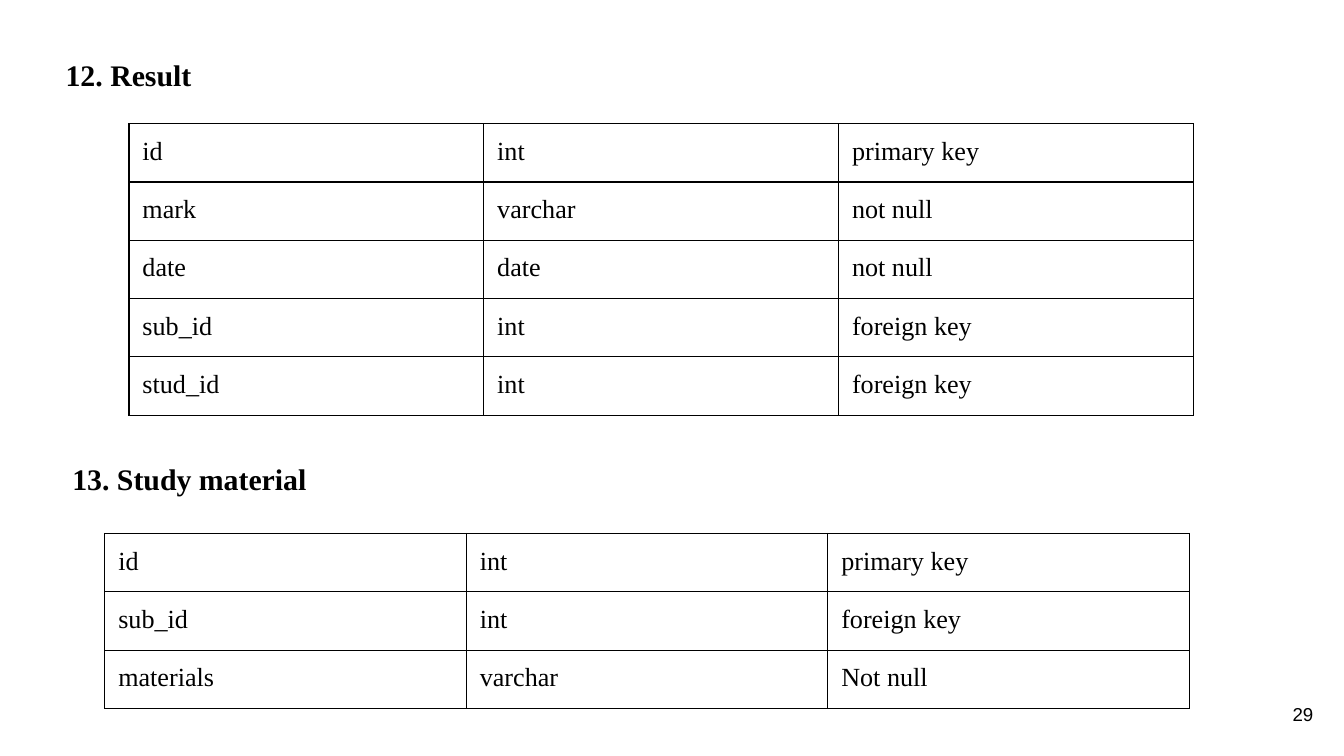
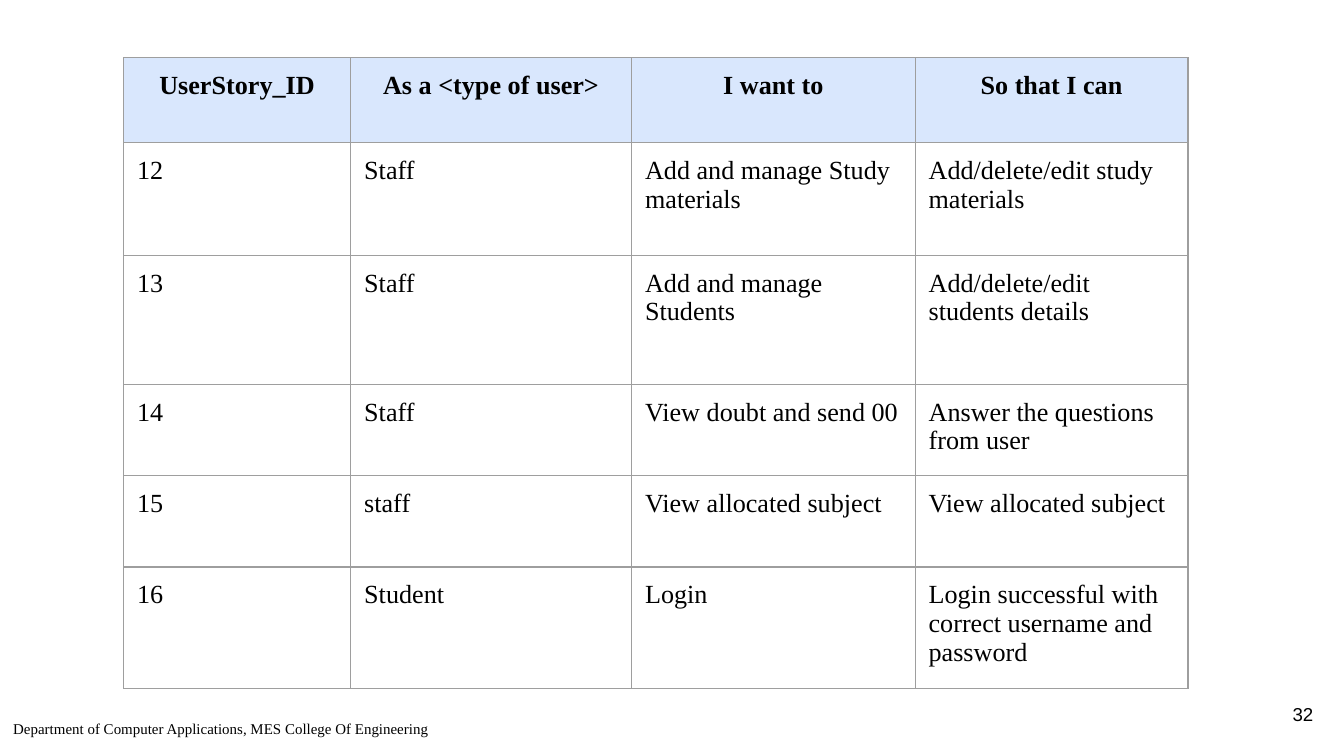
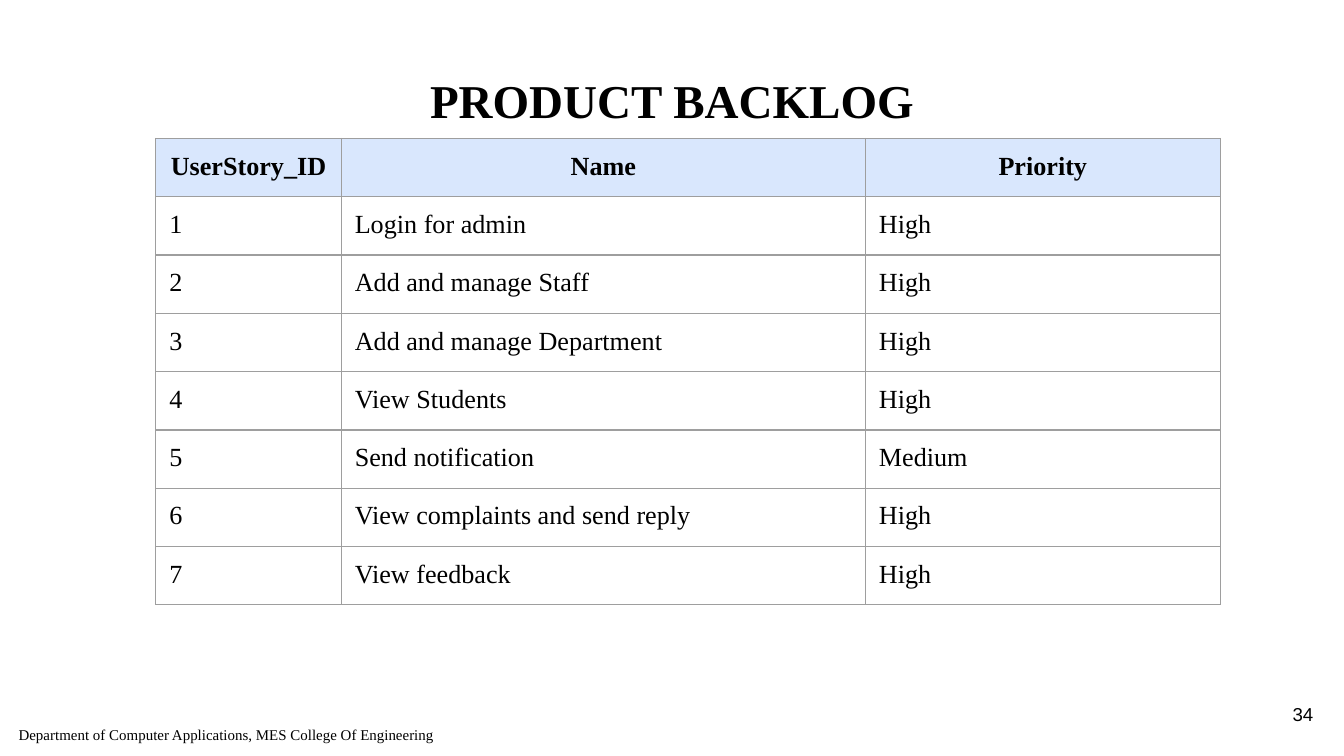
from dataclasses import dataclass

from lxml import etree
from pptx import Presentation
from pptx.dml.color import RGBColor
from pptx.enum.text import MSO_ANCHOR, MSO_AUTO_SIZE, PP_ALIGN
from pptx.oxml.ns import qn
from pptx.util import Inches, Pt

LEFT, CENTER, RIGHT = PP_ALIGN.LEFT, PP_ALIGN.CENTER, PP_ALIGN.RIGHT
TOP, MIDDLE = MSO_ANCHOR.TOP, MSO_ANCHOR.MIDDLE
FIXED, GROW = MSO_AUTO_SIZE.NONE, MSO_AUTO_SIZE.SHAPE_TO_FIT_TEXT
TITLE_ONLY, BLANK = 5, 6

COLORS = {"ink": "000000", "grid": "9E9E9E", "head": "D9E7FD"}
SERIF = "Times New Roman"
PAD = Inches(0.1)
EDGE = Pt(0.75)
DEPT = "Department of Computer Applications, MES College Of Engineering"

# Text styles shared by all slides
FONTS = {
    "title": {"name": SERIF, "size": Pt(25.2), "bold": True},
    "heading": {"name": SERIF, "size": Pt(16), "bold": True},
    "head": {"name": SERIF, "size": Pt(14), "bold": True},
    "body": {"name": SERIF, "size": Pt(14), "bold": False},
    "footer": {"name": SERIF, "size": Pt(8), "bold": False},
    "page": {"name": "Arial", "size": Pt(10), "bold": False},
}


@dataclass
class Label:
    text: str
    box: tuple[float, float, float, float]
    font: str
    align: PP_ALIGN = LEFT
    anchor: MSO_ANCHOR = TOP
    fit: MSO_AUTO_SIZE = GROW


@dataclass
class Grid:
    left: float
    top: float
    widths: list[float]
    heights: list[float]
    rows: list[tuple[str, ...]]
    line: str = "ink"
    header: bool = False


def write(frame, text: str, font: str, align: PP_ALIGN) -> None:
    part = frame.paragraphs[0]
    part.alignment = align
    run = part.add_run()
    run.text = text
    for key, value in FONTS[font].items():
        setattr(run.font, key, value)
    run.font.color.rgb = RGBColor.from_string(COLORS["ink"])


def fill_frame(shape, label: Label) -> None:
    frame = shape.text_frame
    style = {"word_wrap": True, "auto_size": label.fit,
             "vertical_anchor": label.anchor, "margin_left": PAD,
             "margin_right": PAD, "margin_top": PAD, "margin_bottom": PAD}
    for key, value in style.items():
        setattr(frame, key, value)
    write(frame, label.text, label.font, label.align)


def add_label(slide, label: Label) -> None:
    fill_frame(slide.shapes.add_textbox(*map(Inches, label.box)), label)


def set_title(slide, label: Label) -> None:
    title = slide.shapes.title
    sides = ("left", "top", "width", "height")
    for side, value in zip(sides, label.box):
        setattr(title, side, Inches(value))
    fill_frame(title, label)
    title.text_frame.margin_top = Inches(0.14)


def add_edges(cell, color: str) -> None:
    props = cell._tc.get_or_add_tcPr()
    for spot, side in enumerate(("lnL", "lnR", "lnT", "lnB")):
        line = etree.Element(qn(f"a:{side}"), w=str(EDGE))
        solid = etree.SubElement(line, qn("a:solidFill"))
        etree.SubElement(solid, qn("a:srgbClr"), val=color)
        props.insert(spot, line)


def add_grid(slide, grid: Grid) -> None:
    size = (grid.left, grid.top, sum(grid.widths), sum(grid.heights))
    table = slide.shapes.add_table(
        len(grid.rows), len(grid.widths), *map(Inches, size)).table
    table.first_row = grid.header
    table.horz_banding = False
    for column, width in zip(table.columns, grid.widths):
        column.width = Inches(width)
    for r, (row, height) in enumerate(zip(grid.rows, grid.heights)):
        table.rows[r].height = Inches(height)
        head = grid.header and r == 0
        for c, text in enumerate(row):
            cell = table.cell(r, c)
            for side in ("left", "right", "top", "bottom"):
                setattr(cell, f"margin_{side}", PAD)
            if head:
                cell.fill.solid()
                cell.fill.fore_color.rgb = RGBColor.from_string(COLORS["head"])
            else:
                cell.fill.background()
            add_edges(cell, COLORS[grid.line])
            write(cell.text_frame, text, "head" if head else "body",
                  CENTER if head else LEFT)


def add_page(slide, number: int) -> None:
    add_label(slide, Label(str(number), (9.27, 5.1, 0.6, 0.43), "page",
                           RIGHT, MIDDLE, FIXED))


def add_footer(slide, left: float, top: float, width: float) -> None:
    add_label(slide, Label(DEPT, (left, top, width, 0.47), "footer"))


# Slide content
RESULT = Grid(0.96, 0.92, [2.64] * 3, [0.433] * 5, [
    ("id", "int", "primary key"),
    ("mark", "varchar", "not null"),
    ("date", "date", "not null"),
    ("sub_id", "int", "foreign key"),
    ("stud_id", "int", "foreign key"),
])
STUDY = Grid(0.78, 3.97, [2.69] * 3, [0.433] * 3, [
    ("id", "int", "primary key"),
    ("sub_id", "int", "foreign key"),
    ("materials", "varchar", "Not null"),
])
STORIES = Grid(
    0.92, 0.43, [1.69, 2.09, 2.11, 2.03], [0.63, 0.84, 0.96, 0.68, 0.68, 0.84],
    [
        ("UserStory_ID", "As a <type of user>", "I want to", "So that I can"),
        ("12", "Staff", "Add and manage Study materials",
         "Add/delete/edit study materials"),
        ("13", "Staff", "Add and manage Students",
         "Add/delete/edit students details"),
        ("14", "Staff", "View doubt and send 00",
         "Answer the questions from user"),
        ("15", "staff", "View allocated subject", "View allocated subject"),
        ("16", "Student", "Login",
         "Login successful with correct username and password"),
    ], "grid", True)
BACKLOG = Grid(1.16, 1.03, [1.38, 3.9, 2.64], [0.433] * 8, [
    ("UserStory_ID", "Name", "Priority"),
    ("1", "Login for admin", "High"),
    ("2", "Add and manage Staff", "High"),
    ("3", "Add and manage Department", "High"),
    ("4", "View Students", "High"),
    ("5", "Send notification", "Medium"),
    ("6", "View complaints and send reply", "High"),
    ("7", "View feedback", "High"),
], "grid", True)


def main() -> None:
    deck = Presentation()
    deck.slide_width, deck.slide_height = Inches(10), Inches(5.625)
    layouts = deck.slide_layouts

    # Result and study material tables
    slide = deck.slides.add_slide(layouts[BLANK])
    add_page(slide, 29)
    add_label(slide, Label("12. Result", (0.39, 0.32, 4.16, 0.47), "heading"))
    add_grid(slide, RESULT)
    add_grid(slide, STUDY)
    add_label(slide, Label("13. Study material", (0.44, 3.33, 4.16, 0.47),
                           "heading"))

    # User stories
    slide = deck.slides.add_slide(layouts[BLANK])
    add_grid(slide, STORIES)
    add_footer(slide, 0, 5.29, 4.76)
    add_page(slide, 32)

    # Product backlog
    slide = deck.slides.add_slide(layouts[TITLE_ONLY])
    set_title(slide, Label("PRODUCT BACKLOG", (0.34, 0.39, 9.32, 0.46),
                           "title", CENTER, TOP, FIXED))
    add_footer(slide, 0.04, 5.33, 5.53)
    add_grid(slide, BACKLOG)
    add_page(slide, 34)

    deck.save("out.pptx")


if __name__ == "__main__":
    main()
